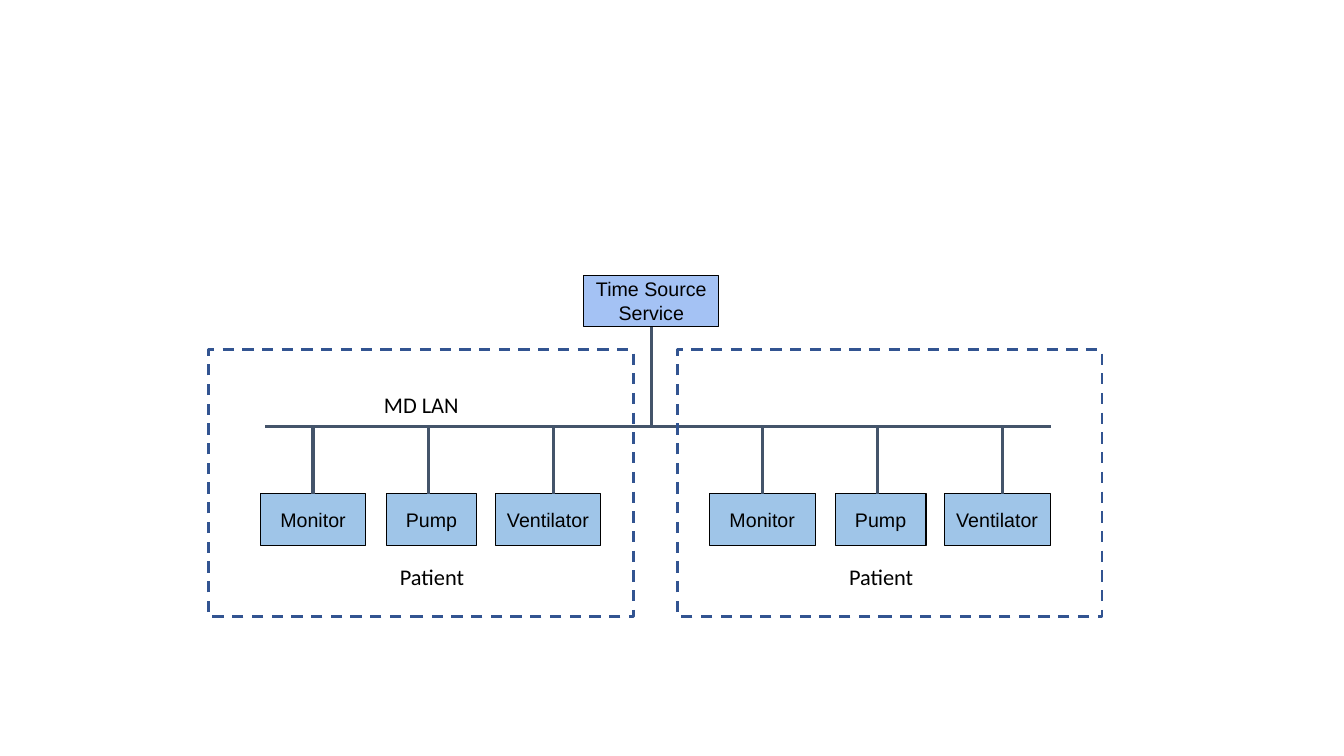
from lxml.etree import SubElement
from pptx import Presentation
from pptx.dml.color import RGBColor
from pptx.enum.dml import MSO_LINE
from pptx.enum.shapes import MSO_CONNECTOR, MSO_SHAPE
from pptx.enum.text import MSO_ANCHOR, PP_ALIGN
from pptx.oxml.ns import qn
from pptx.util import Inches, Pt

BLACK = RGBColor(0x00, 0x00, 0x00)
SERVICE_BLUE = RGBColor(0xA4, 0xC2, 0xF4)
DEVICE_BLUE = RGBColor(0x9F, 0xC5, 0xE8)
NETWORK_GRAY = RGBColor(0x44, 0x54, 0x6A)
FRAME_BLUE = RGBColor(0x32, 0x54, 0x91)

BUS_Y = 4.23
DEVICE_TOP = 4.9
BOX_HEIGHT = 0.51
PATIENT_PITCH = 4.455
FRAME_PITCH = 4.65
DEVICES = [
    ("Monitor", 2.58, 1.05, 3.105),
    ("Pump", 3.83, 0.9, 4.25),
    ("Ventilator", 4.91, 1.05, 5.49),
]


def format_text(text_frame, text, font_name, size, alignment):
    text_frame.text = text
    text_frame.word_wrap = True
    for paragraph in text_frame.paragraphs:
        paragraph.alignment = alignment
        for run in paragraph.runs:
            run.font.name = font_name
            run.font.size = Pt(size)
            run.font.color.rgb = BLACK


def add_box(slide, text, left, top, width, fill_color):
    shape = slide.shapes.add_shape(
        MSO_SHAPE.RECTANGLE, Inches(left), Inches(top), Inches(width), Inches(BOX_HEIGHT)
    )
    shape.shadow.inherit = False
    shape.fill.solid()
    shape.fill.fore_color.rgb = fill_color
    shape.line.color.rgb = BLACK
    shape.line.width = Pt(0.75)
    text_frame = shape.text_frame
    text_frame.vertical_anchor = MSO_ANCHOR.MIDDLE
    text_frame.margin_left = text_frame.margin_right = Inches(0.1)
    text_frame.margin_top = text_frame.margin_bottom = Inches(0.1)
    format_text(text_frame, text, "Arial", 14, PP_ALIGN.CENTER)
    return shape


def add_label(slide, text, left, top, width, alignment):
    shape = slide.shapes.add_textbox(Inches(left), Inches(top), Inches(width), Inches(0.37))
    format_text(shape.text_frame, text, "Calibri", 16, alignment)


def add_line(slide, start_x, start_y, end_x, end_y):
    connector = slide.shapes.add_connector(
        MSO_CONNECTOR.STRAIGHT, Inches(start_x), Inches(start_y), Inches(end_x), Inches(end_y)
    )
    connector.line.color.rgb = NETWORK_GRAY
    connector.line.width = Pt(2.25)
    SubElement(connector._element.spPr, qn("a:effectLst"))
    return connector


def add_frame(slide, left):
    shape = slide.shapes.add_shape(
        MSO_SHAPE.RECTANGLE, Inches(left), Inches(3.47), Inches(4.21), Inches(2.65)
    )
    shape.shadow.inherit = False
    shape.fill.background()
    shape.line.color.rgb = FRAME_BLUE
    shape.line.width = Pt(2)
    shape.line.dash_style = MSO_LINE.DASH


def add_patient(slide, offset):
    add_label(slide, "Patient", 3.42 + offset, 5.54, 1.73, PP_ALIGN.CENTER)
    for name, left, width, drop_x in DEVICES:
        device = add_box(slide, name, left + offset, DEVICE_TOP, width, DEVICE_BLUE)
        drop = add_line(slide, drop_x + offset, DEVICE_TOP, drop_x + offset, BUS_Y)
        if name == "Monitor":
            drop.begin_connect(device, 0)


def main():
    presentation = Presentation()
    presentation.slide_width = Inches(13.33)
    presentation.slide_height = Inches(7.5)
    slide = presentation.slides.add_slide(presentation.slide_layouts[6])

    service = add_box(slide, "Time Source\vService", 5.79, 2.73, 1.34, SERVICE_BLUE)
    add_line(slide, 2.63, BUS_Y, 10.42, BUS_Y)
    uplink = add_line(slide, 6.46, BUS_Y, 6.46, 2.73 + BOX_HEIGHT)
    uplink.end_connect(service, 2)
    add_label(slide, "MD LAN", 3.71, 3.83, 2.29, PP_ALIGN.LEFT)

    for index in range(2):
        add_patient(slide, index * PATIENT_PITCH)
        add_frame(slide, 2.07 + index * FRAME_PITCH)

    presentation.save("out.pptx")


if __name__ == "__main__":
    main()
